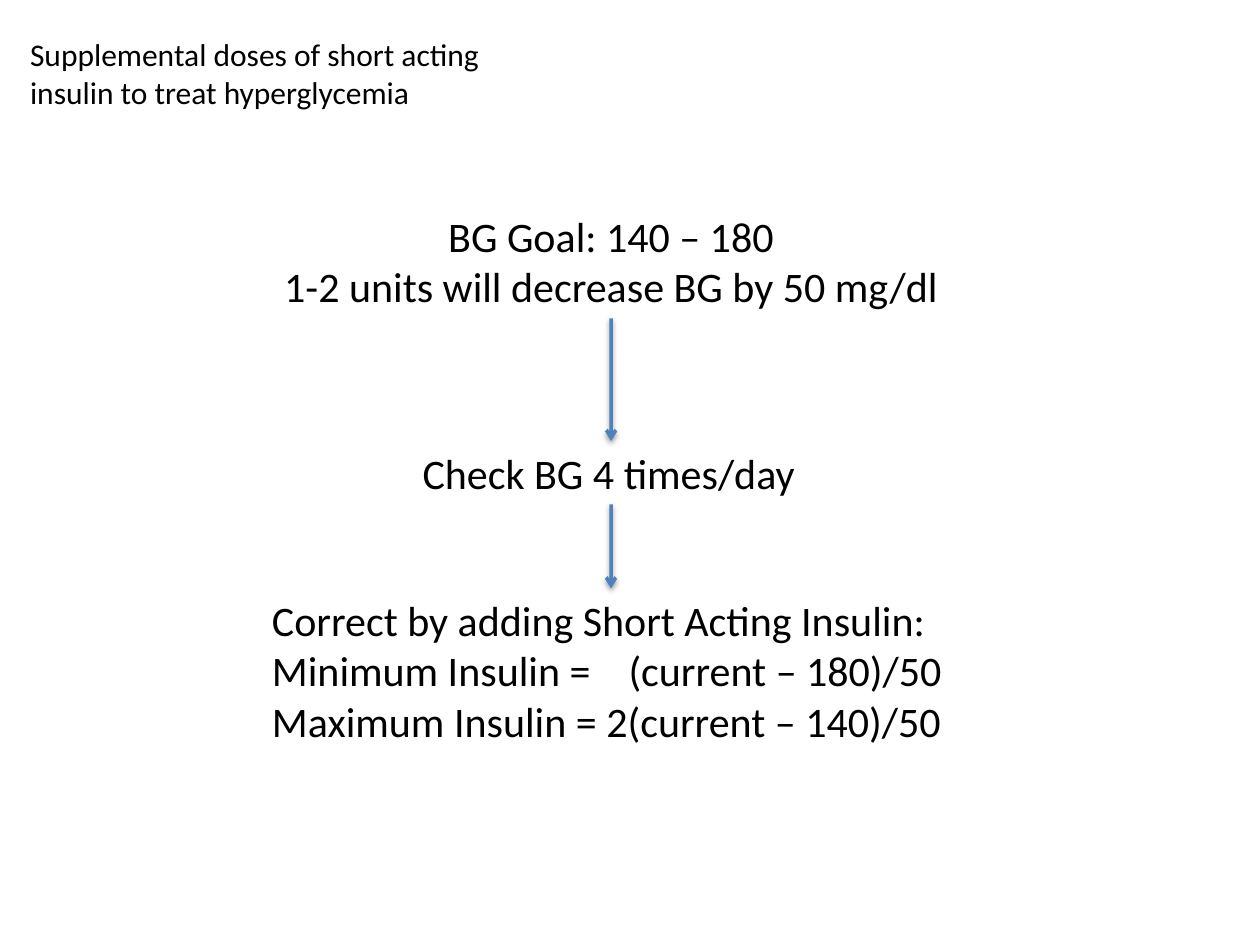
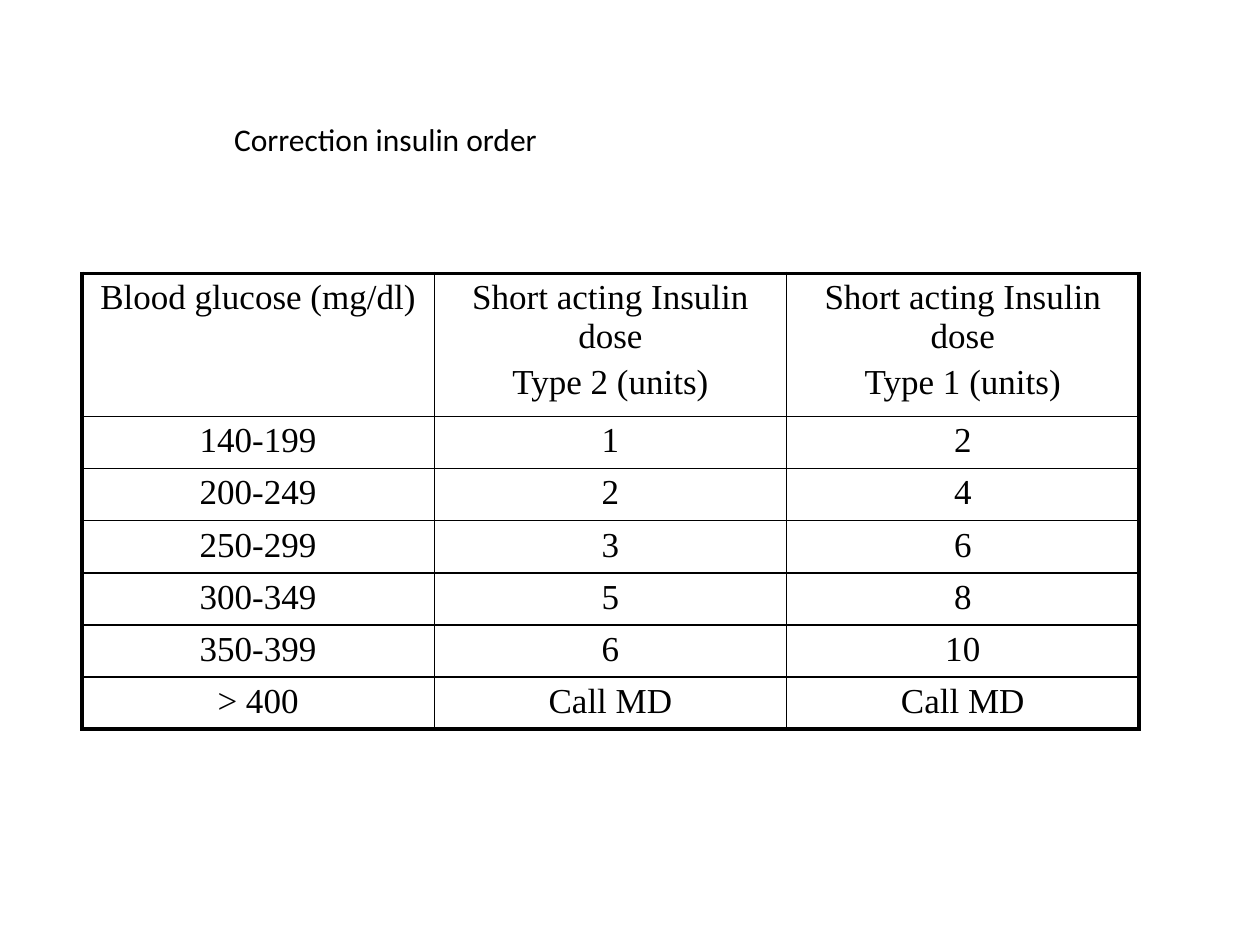
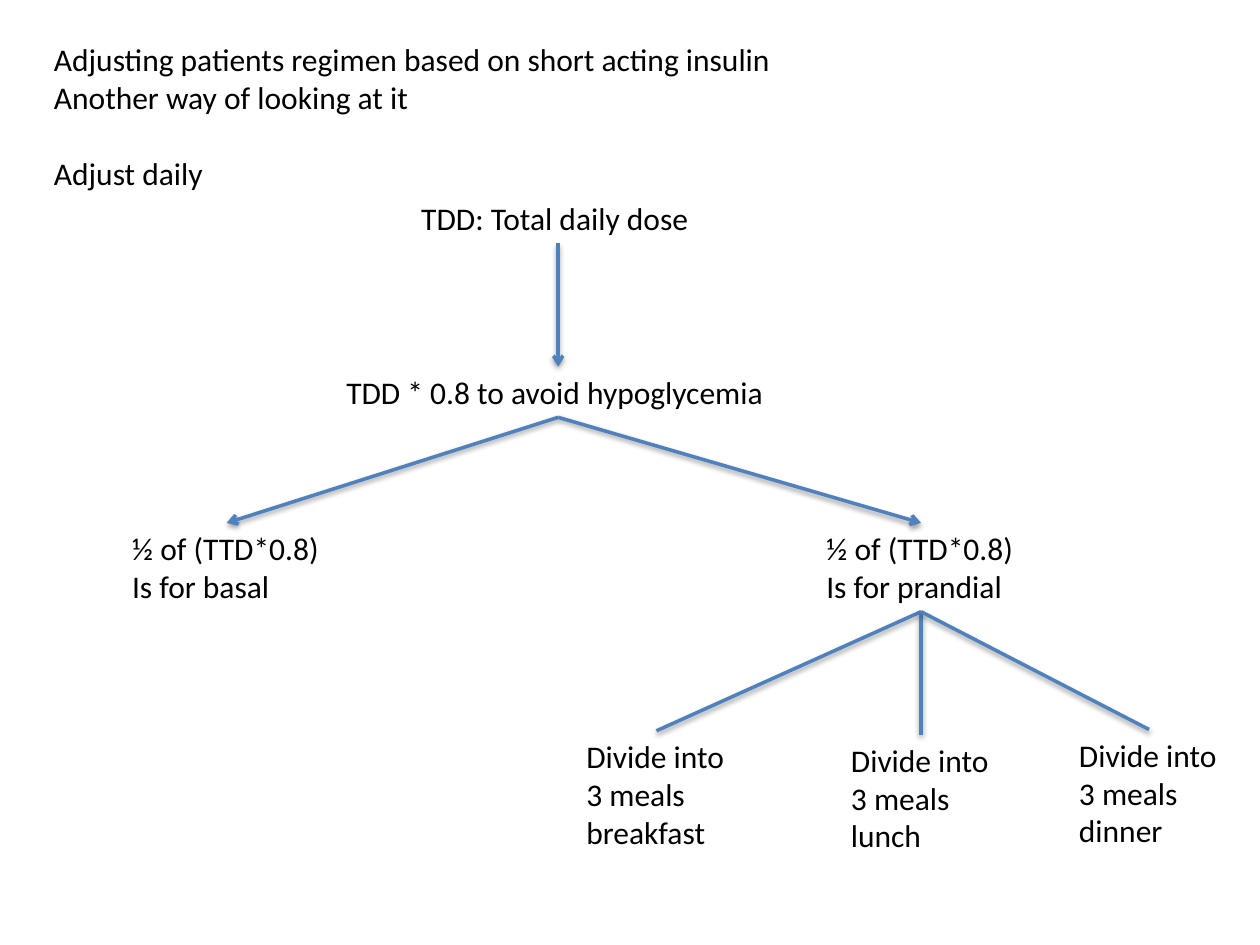
import dataclasses
import lxml.etree
import pptx
import pptx.dml.color
import pptx.enum.shapes
import pptx.enum.text
import pptx.oxml
import pptx.oxml.ns
import pptx.util

Inches = pptx.util.Inches
Pt = pptx.util.Pt
Align = pptx.enum.text.PP_ALIGN
TOP, BOTTOM = 0, 2


@dataclasses.dataclass(frozen=True)
class Theme:
    ink: str = "000000"
    blue: str = "4F81BD"
    sans: str = "Calibri"
    serif: str = "Times New Roman"
    large: int = 24
    small: int = 18
    grid: int = 20
    stroke: float = 2
    thin: float = 1
    thick: float = 2.25


THEME = Theme()


def color(code):
    return pptx.dml.color.RGBColor.from_string(code)


def child(parent, tag, **attrs):
    return lxml.etree.SubElement(parent, pptx.oxml.ns.qn(tag), **attrs)


def write(frame, lines, face, size, align=Align.LEFT, tab=None, gaps=None):
    for i, line in enumerate(lines):
        para = frame.paragraphs[0] if i == 0 else frame.add_paragraph()
        para.text = line
        if tab and "\t" in line:
            tabs = child(para._p.get_or_add_pPr(), "a:tabLst")
            child(tabs, "a:tab", pos=str(Inches(tab)), algn="l")
        para.alignment = align
        if gaps and i in gaps:
            para.space_before = Pt(gaps[i])
        para.font.name = face
        para.font.size = Pt(size)
        para.font.color.rgb = color(THEME.ink)


def note(slide, box, lines, size=THEME.small, wrap=False, **style):
    shape = slide.shapes.add_textbox(*map(Inches, box))
    frame = shape.text_frame
    frame.word_wrap = wrap
    frame.auto_size = pptx.enum.text.MSO_AUTO_SIZE.SHAPE_TO_FIT_TEXT
    write(frame, lines, THEME.sans, size, **style)
    return shape


def node(slide, mid, top, width, lines, size=THEME.small, **style):
    height = 0.1 + len(lines) * size / 59.5
    return note(slide, (mid - width / 2, top, width, height), lines, size, **style)


def link(slide, start, end, head=True):
    line = slide.shapes.add_connector(
        pptx.enum.shapes.MSO_CONNECTOR.STRAIGHT, 0, 0, 0, 0)
    line.begin_connect(start, BOTTOM)
    line.end_connect(end, TOP)
    line.line.color.rgb = color(THEME.blue)
    line.line.width = Pt(THEME.stroke)
    if head:
        child(line.line._get_or_add_ln(), "a:tailEnd", type="arrow")
    effect = child(line._element.spPr, "a:effectLst")
    shade = child(effect, "a:outerShdw", blurRad=str(Pt(3.1)), dist=str(Pt(1.6)),
                  dir="5400000", rotWithShape="0")
    child(child(shade, "a:srgbClr", val=THEME.ink), "a:alpha", val="38000")


def flow(slide, box):
    x, y, w, h = box
    mid = x + w / 2
    goal = node(slide, mid, y, 5.44,
                ["BG Goal: 140 – 180", "1-2 units will decrease BG by 50 mg/dl"],
                THEME.large, align=Align.CENTER)
    check = node(slide, mid, y + 1.88, 3.19, ["Check BG 4 times/day"], THEME.large)
    dose = node(slide, mid, y + 3.05, w,
                ["Correct by adding Short Acting Insulin:",
                 "Minimum Insulin =\t(current – 180)/50",
                 "Maximum Insulin = 2(current – 140)/50"],
                THEME.large, wrap=True, tab=2.83)
    link(slide, goal, check)
    link(slide, check, dose)


def edge(cell, row, col, last, end):
    cell.fill.background()
    props = cell._tc.get_or_add_tcPr()
    outer = {"L": col == 0, "R": col == end, "T": row == 0, "B": row == last}
    for i, (side, bold) in enumerate(outer.items()):
        width = THEME.thick if bold else THEME.thin
        line = child(props, f"a:ln{side}", w=str(Pt(width)))
        child(child(line, "a:solidFill"), "a:srgbClr", val=THEME.ink)
        props.insert(i, line)


def chart(slide, box, rows, heights):
    last, end = len(rows) - 1, len(rows[0]) - 1
    table = slide.shapes.add_table(last + 1, end + 1, *map(Inches, box)).table
    table.first_row = table.horz_banding = False
    for col in table.columns:
        col.width = Inches(box[2] / (end + 1))
    for r, (row, height) in enumerate(zip(rows, heights)):
        table.rows[r].height = Inches(height)
        for c, text in enumerate(row):
            cell = table.cell(r, c)
            cell.margin_left = cell.margin_right = Inches(0.07)
            cell.margin_top = cell.margin_bottom = Inches(0.04)
            write(cell.text_frame, text.split("\n"), THEME.serif, THEME.grid,
                  Align.CENTER, gaps={1: 4})
            edge(cell, r, c, last, end)


def tree(slide, box):
    x, y, w, h = box
    mid, left, right = x + 3.48, x + 0.85, x + 6.36
    total = node(slide, mid, y, 2.37, ["TDD: Total daily dose"])
    safe = node(slide, mid, y + 1.38, 3.56, ["TDD * 0.8 to avoid hypoglycemia"])
    link(slide, total, safe)
    for spot, use in ((left, "basal"), (right, "prandial")):
        half = node(slide, spot, y + 2.62, 1.7, ["½ of (TTD*0.8)", f"Is for {use}"])
        link(slide, safe, half)
    meals = (("breakfast", -2.1, 4.27), ("lunch", 0, 4.3), ("dinner", 1.81, 4.26))
    for meal, shift, drop in meals:
        part = node(slide, right + shift, y + drop, 1.31,
                    ["Divide into", "3 meals", meal])
        link(slide, half, part, head=False)


def main():
    deck = pptx.Presentation()
    deck.slide_width, deck.slide_height = Inches(10), Inches(7.5)
    first, second, third = (
        deck.slides.add_slide(deck.slide_layouts[6]) for _ in range(3))

    note(first, (0.14, 0.23, 4.01, 0.71),
         ["Supplemental doses of short acting insulin to treat hyperglycemia"],
         wrap=True)
    flow(first, (2.06, 1.62, 5.58, 4.36))

    note(second, (1.76, 0.9, 2.64, 0.4), ["Correction insulin order"])
    rows = [
        ("Blood glucose (mg/dl)", "Short acting Insulin dose\nType 2 (units)",
         "Short acting Insulin dose\nType 1 (units)"),
        ("140-199", "1", "2"),
        ("200-249", "2", "4"),
        ("250-299", "3", "6"),
        ("300-349", "5", "8"),
        ("350-399", "6", "10"),
        ("> 400", "Call MD", "Call MD"),
    ]
    chart(second, (0.65, 2.17, 8.39, 3.36), rows, [1.06] + [0.38] * 5 + [0.4])

    note(third, (0.33, 0.27, 5.95, 1.31),
         ["Adjusting patients regimen based on short acting insulin",
          "Another way of looking at it", "Adjust daily"], gaps={2: 22})
    tree(third, (0.95, 1.53, 8.83, 5.31))

    deck.save("out.pptx")


if __name__ == "__main__":
    main()
